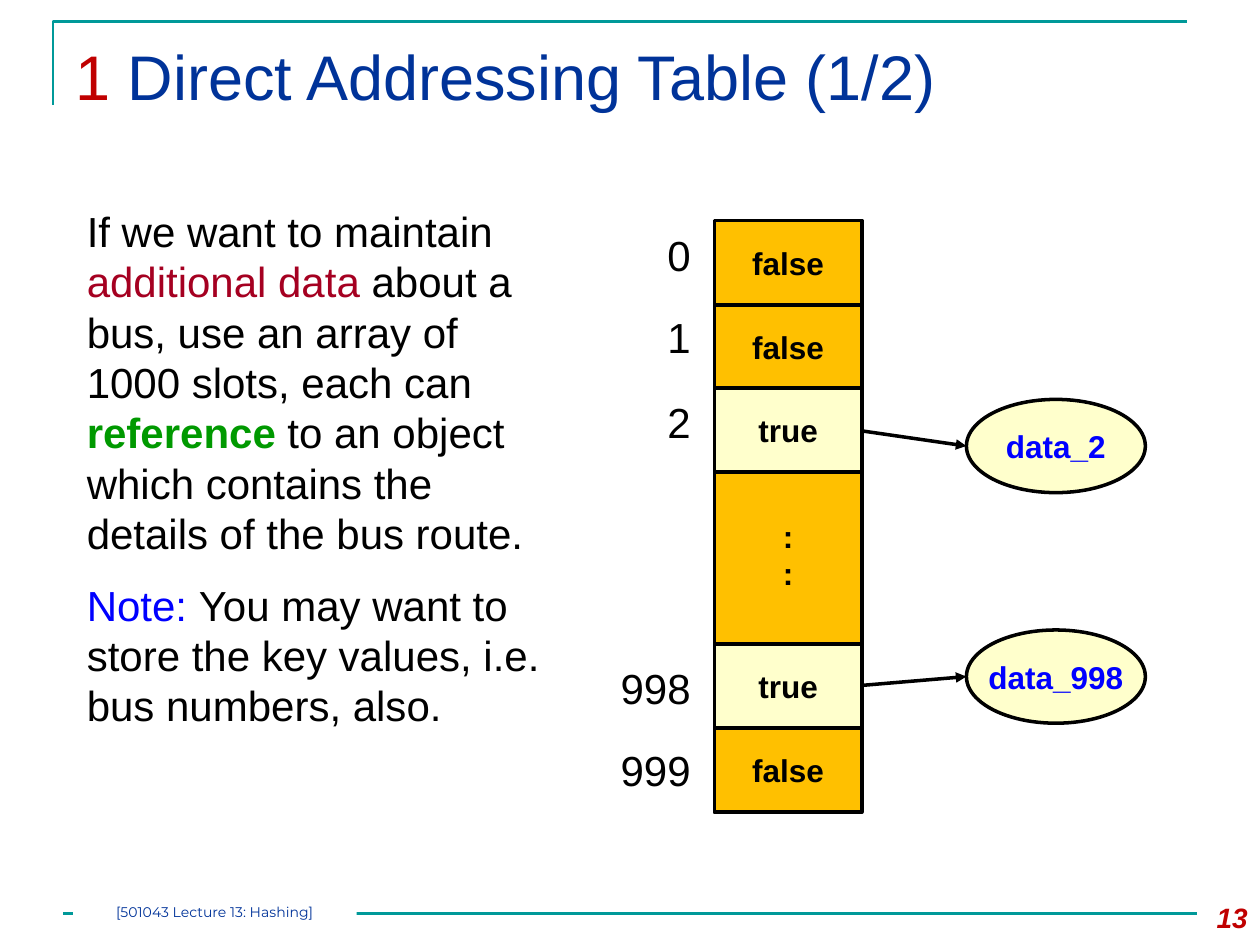
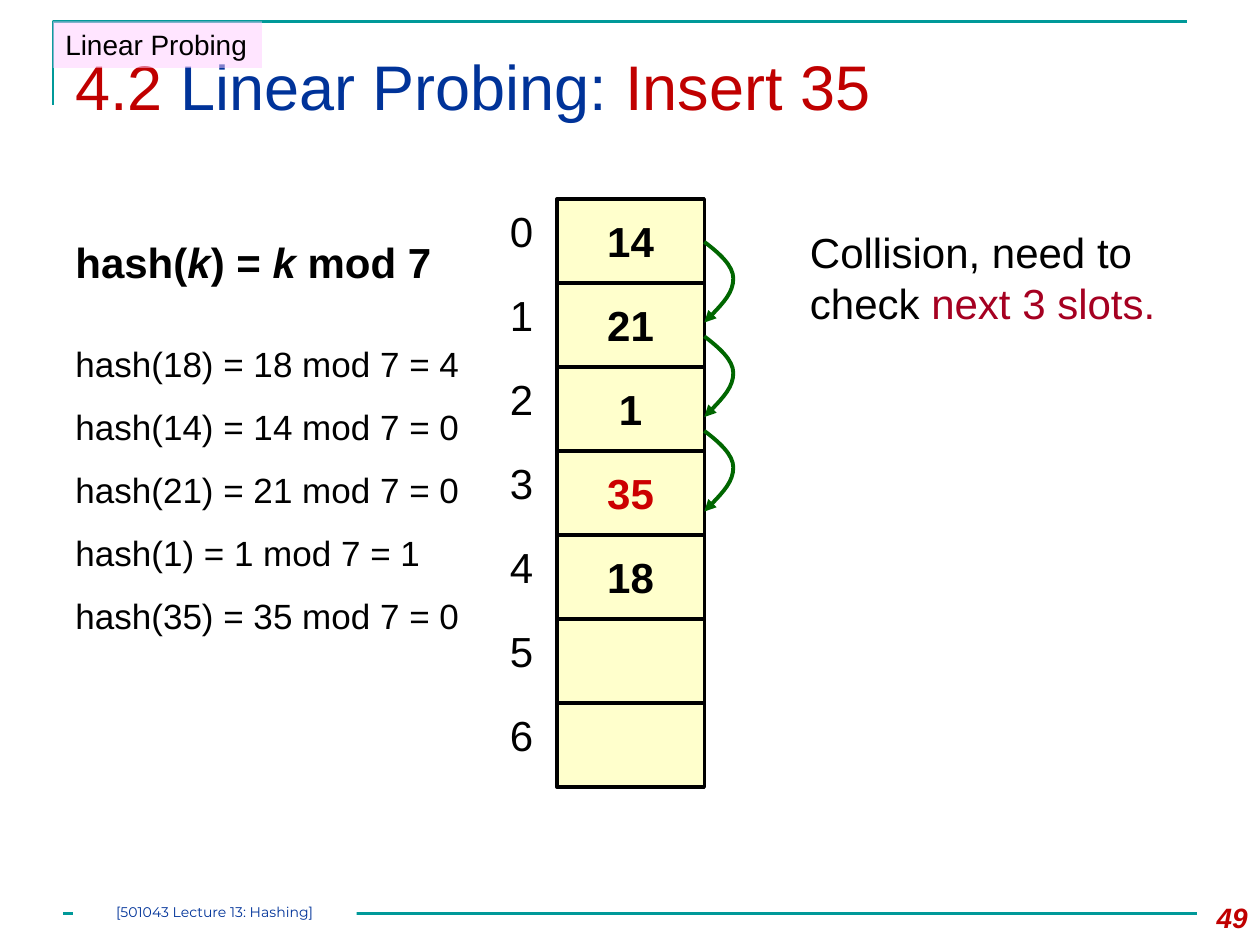
"""Builds two lecture slides on direct addressing and linear probing."""
from dataclasses import dataclass

from lxml import etree
from pptx import Presentation
from pptx.dml.color import RGBColor
from pptx.enum.shapes import MSO_CONNECTOR, MSO_SHAPE
from pptx.enum.text import MSO_ANCHOR, PP_ALIGN
from pptx.oxml.ns import qn
from pptx.util import Inches, Pt

RECTANGLE, ELLIPSE = MSO_SHAPE.RECTANGLE, MSO_SHAPE.OVAL
STRAIGHT = MSO_CONNECTOR.STRAIGHT
LEFT, CENTER, RIGHT = PP_ALIGN.LEFT, PP_ALIGN.CENTER, PP_ALIGN.RIGHT
TOP, MIDDLE = MSO_ANCHOR.TOP, MSO_ANCHOR.MIDDLE

SLOT_WIDTH = 1.17
SLOT_HEIGHT = 2 / 3
LABEL_WIDTH = 0.92
LABEL_GAP = 0.09


@dataclass(frozen=True)
class Theme:
    """Colours, fonts and type sizes of the deck."""
    black: str = "000000"
    white: str = "FFFFFF"
    teal: str = "009999"
    navy: str = "003399"
    red: str = "C00000"
    crimson: str = "A50021"
    scarlet: str = "CC0000"
    green: str = "009900"
    dark_green: str = "006600"
    blue: str = "0000FF"
    amber: str = "FFC000"
    cream: str = "FFFFCC"
    pink: str = "FFCCFF"
    font: str = "Arial"
    footer_font: str = "Montserrat"
    title_size: int = 36
    body_size: int = 24
    example_size: int = 20
    slot_size: int = 18
    small_size: int = 16
    footer_size: int = 8


THEME = Theme()


def write_text(shape, paragraphs, size=THEME.body_size, color=THEME.black,
               font=THEME.font, bold=False, italic=False, align=LEFT,
               anchor=TOP, wrap=True, margin=None, space_before=0):
    """Fill a shape with paragraphs, each a string or a list of (text, overrides) runs."""
    frame = shape.text_frame
    frame.word_wrap = wrap
    frame.vertical_anchor = anchor
    if margin is not None:
        frame.margin_left = frame.margin_right = Inches(margin)
        frame.margin_top = frame.margin_bottom = Inches(margin)
    if isinstance(paragraphs, str):
        paragraphs = [paragraphs]
    for index, content in enumerate(paragraphs):
        paragraph = frame.add_paragraph() if index else frame.paragraphs[0]
        paragraph.alignment = align
        paragraph.space_before = Pt(space_before if index else 0)
        runs = [(content, {})] if isinstance(content, str) else content
        for text, overrides in runs:
            run = paragraph.add_run()
            run.text = text
            run.font.name = font
            run.font.size = Pt(size)
            run.font.bold = overrides.get("bold", bold)
            run.font.italic = overrides.get("italic", italic)
            run.font.color.rgb = RGBColor.from_string(overrides.get("color", color))


class Deck:
    """Draws styled elements on the current slide."""

    def __init__(self, theme):
        self.theme = theme
        self.presentation = Presentation()
        self.presentation.slide_width = Inches(10)
        self.presentation.slide_height = Inches(7.5)
        self.slide = None

    def start_slide(self, title, title_top, number):
        """Add a slide with its frame lines, title, page number and footer."""
        theme = self.theme
        self.slide = self.presentation.slides.add_slide(self.presentation.slide_layouts[6])
        self.outline([(0.42, 0.83), (0.42, 0.17), (9.42, 0.17)], theme.teal, 1.5)
        self.line((0.5, 7.25), (9.5, 7.25), theme.teal, 1.5)
        self.text(0.5, title_top, 9, 0.9, [title], size=theme.title_size, color=theme.navy)
        self.text(9.33, 7.1, 0.67, 0.4, number, size=theme.small_size,
                  color=theme.red, bold=True, italic=True, align=RIGHT)
        footer = self.shape(RECTANGLE, 0.58, 7.17, 2.25, 0.17, theme.white, outlined=False)
        write_text(footer, "[501043 Lecture 13: Hashing]", size=theme.footer_size,
                   color=theme.navy, font=theme.footer_font, align=CENTER, margin=0)

    def text(self, left, top, width, height, paragraphs, **style):
        """Add a text box."""
        box = self.slide.shapes.add_textbox(
            Inches(left), Inches(top), Inches(width), Inches(height))
        write_text(box, paragraphs, **style)

    def shape(self, kind, left, top, width, height, fill, outlined=True):
        """Add a filled preset shape."""
        shape = self.slide.shapes.add_shape(
            kind, Inches(left), Inches(top), Inches(width), Inches(height))
        shape.shadow.inherit = False
        shape.fill.solid()
        shape.fill.fore_color.rgb = RGBColor.from_string(fill)
        if outlined:
            self.stroke(shape, self.theme.black, 2)
        else:
            shape.line.fill.background()
        return shape

    def stroke(self, shape, color, width, arrow=False):
        """Set a line's colour, width and arrowhead."""
        shape.line.color.rgb = RGBColor.from_string(color)
        shape.line.width = Pt(width)
        if arrow:
            line = shape.element.find(".//" + qn("a:ln"))
            etree.SubElement(line, qn("a:tailEnd"), type="triangle")

    def line(self, start, end, color, width, arrow=False):
        """Add a straight connector."""
        connector = self.slide.shapes.add_connector(
            STRAIGHT, *(Inches(value) for value in (*start, *end)))
        self.stroke(connector, color, width, arrow)
        etree.SubElement(connector.element.spPr, qn("a:effectLst"))

    def outline(self, points, color, width, arrow=False):
        """Add an open, unfilled outline."""
        start, *others = [(Inches(x), Inches(y)) for x, y in points]
        builder = self.slide.shapes.build_freeform(*start)
        builder.add_line_segments(others, close=False)
        shape = builder.convert_to_shape()
        shape.shadow.inherit = False
        shape.fill.background()
        self.stroke(shape, color, width, arrow)
        return shape

    def probe(self, left, top):
        """Add a curved arrow that leads from one slot to the next."""
        steps = [(0, 0), (0.12, 0.09), (0.23, 0.19), (0.23, 0.29),
                 (0.23, 0.4), (0.12, 0.52), (0, 0.64)]
        points = [(left + x, top + y) for x, y in steps]
        shape = self.outline(points, self.theme.dark_green, 2.25, arrow=True)
        segments = list(shape.element.iter(qn("a:lnTo")))
        for first in range(0, len(segments), 3):
            parent = segments[first].getparent()
            curve = etree.SubElement(parent, qn("a:cubicBezTo"))
            for segment in segments[first:first + 3]:
                curve.append(segment[0])
                parent.remove(segment)

    def tag(self, text):
        """Add the translucent topic tag in the top left corner."""
        shape = self.shape(RECTANGLE, 0.42, 0.17, 1.66, 0.37, self.theme.pink, outlined=False)
        color = shape.element.spPr.find(".//" + qn("a:srgbClr"))
        etree.SubElement(color, qn("a:alpha"), val="50000")
        write_text(shape, text, size=self.theme.small_size, wrap=False)

    def slot(self, left, top, content, fill, height=SLOT_HEIGHT, **style):
        """Add one array slot."""
        shape = self.shape(RECTANGLE, left, top, SLOT_WIDTH, height, fill)
        write_text(shape, content, bold=True, align=CENTER, anchor=MIDDLE, wrap=False, **style)

    def slot_label(self, slot_left, top, text):
        """Add the index to the left of a slot."""
        self.text(slot_left - LABEL_GAP - LABEL_WIDTH, top, LABEL_WIDTH, 0.5, text, align=RIGHT)

    def record(self, top, text, arrow_start):
        """Add a data ellipse and the arrow that refers to it."""
        shape = self.shape(ELLIPSE, 7.67, top, 1.42, 0.74, self.theme.cream)
        write_text(shape, text, size=self.theme.slot_size, color=self.theme.blue,
                   bold=True, align=CENTER, anchor=MIDDLE, wrap=False)
        self.line(arrow_start, (7.67, top + 0.37), self.theme.black, 2, arrow=True)


def add_direct_addressing(deck):
    """Build the direct addressing slide."""
    theme = deck.theme
    deck.start_slide([("1 ", {"color": theme.red}), ("Direct Addressing Table (1/2)", {})],
                     0.25, "13")
    deck.text(0.59, 1.58, 3.82, 4.31, [
        [("If we want to maintain ", {}),
         ("additional data", {"color": theme.crimson}),
         (" about a bus, use an array of 1000 slots, each can ", {}),
         ("reference", {"color": theme.green, "bold": True}),
         (" to an object which contains the details of the bus route.", {})],
        [("Note: ", {"color": theme.blue}),
         ("You may want to store the key values, i.e. bus numbers, also.", {})],
    ], space_before=12)

    left = 5.67
    deck.slot(left, 3.69, [":", ":"], theme.amber, height=1.42, size=theme.slot_size)
    slots = [("0", 1.75, 1.77, "false"), ("1", 2.42, 2.42, "false"),
             ("2", 3.08, 3.1, "true"), ("998", 5.11, 5.21, "true"),
             ("999", 5.78, 5.86, "false")]
    for label, top, label_top, content in slots:
        fill = theme.cream if content == "true" else theme.amber
        deck.slot(left, top, content, fill, size=theme.slot_size)
        deck.slot_label(left, label_top, label)
    deck.record(3.17, "data_2", (left + SLOT_WIDTH, 3.42))
    deck.record(5, "data_998", (left + SLOT_WIDTH, 5.44))


def add_linear_probing(deck):
    """Build the linear probing slide."""
    theme = deck.theme
    deck.start_slide([("4.2 ", {"color": theme.red}), ("Linear Probing: ", {}),
                      ("Insert 35", {"color": theme.red})], 0.33, "49")
    deck.tag("Linear Probing")

    key = ("k", {"italic": True})
    deck.text(0.5, 1.83, 3.25, 0.5,
              [[("hash(", {}), key, (") = ", {}), key, (" mod 7", {})]], bold=True)
    for index, value in enumerate([18, 14, 21, 1, 35]):
        deck.text(0.5, 2.67 + 0.5 * index, 3.31, 0.44,
                  f"hash({value}) = {value} mod 7 = {value % 7}", size=theme.example_size)

    left, first_top = 4.42, 1.58
    for index, content in enumerate(["14", "21", "1", "35", "18", "", ""]):
        top = first_top + SLOT_HEIGHT * index
        color = theme.scarlet if content == "35" else theme.black
        deck.slot(left, top, content, theme.cream, color=color)
        deck.slot_label(left, top, str(index))
    for index in range(3):
        deck.probe(left + SLOT_WIDTH, 1.92 + 0.75 * index)

    deck.text(6.33, 1.75, 3.33, 0.91, [[("Collision, need to check ", {}),
                                        ("next 3 slots.", {"color": theme.crimson})]])


def main():
    """Build and save the deck."""
    deck = Deck(THEME)
    add_direct_addressing(deck)
    add_linear_probing(deck)
    deck.presentation.save("out.pptx")


if __name__ == "__main__":
    main()
